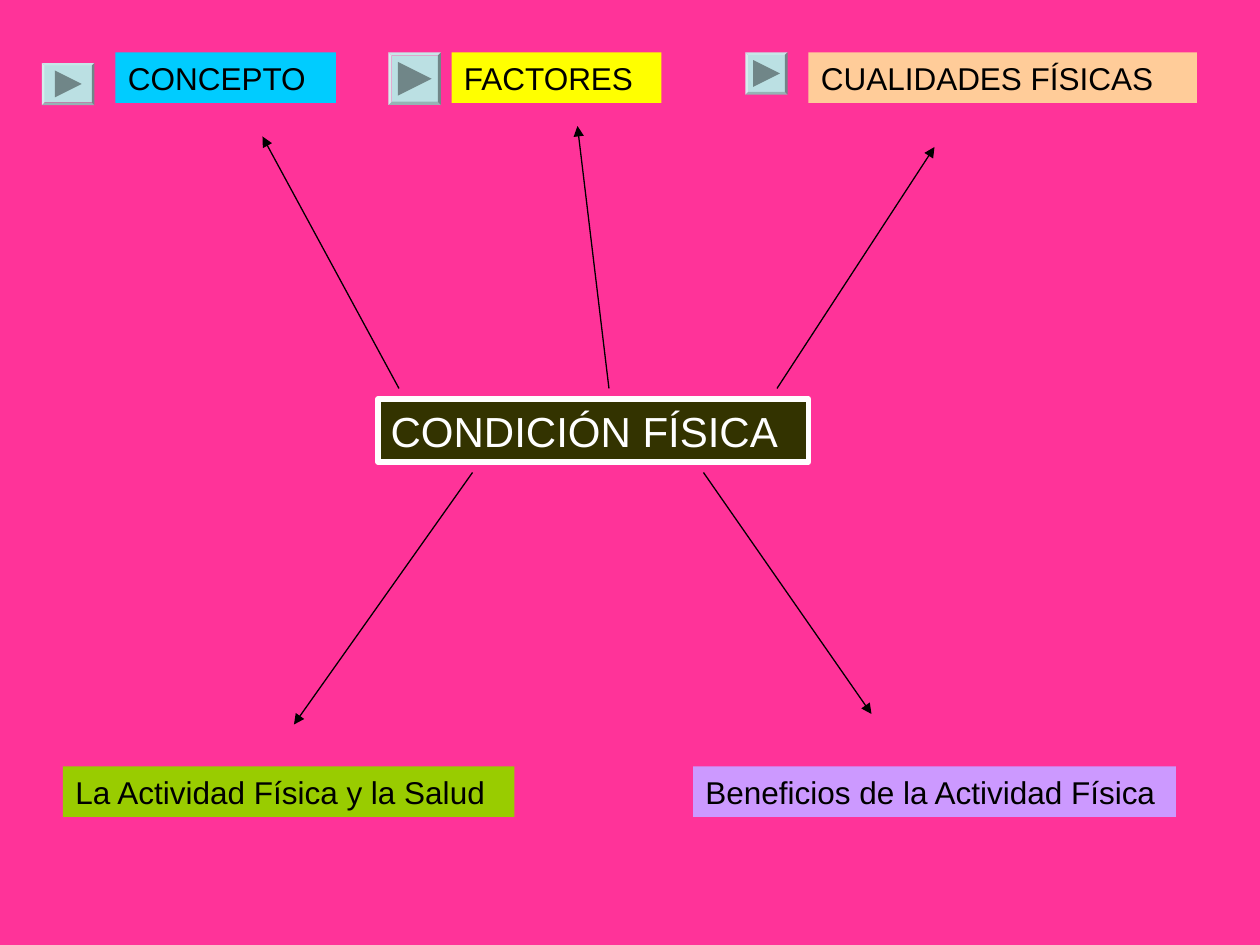
from lxml.etree import SubElement
from pptx import Presentation
from pptx.dml.color import RGBColor
from pptx.enum.shapes import MSO_CONNECTOR as Connector, MSO_SHAPE as Shape
from pptx.enum.text import MSO_ANCHOR as Anchor, MSO_AUTO_SIZE as AutoSize, PP_ALIGN as Align
from pptx.oxml.ns import qn
from pptx.util import Pt

PINK = RGBColor(0xFF, 0x33, 0x99)
OLIVE = RGBColor(0x33, 0x33, 0x00)
WHITE = RGBColor(0xFF, 0xFF, 0xFF)
BLACK = RGBColor(0x00, 0x00, 0x00)
CYAN = RGBColor(0x00, 0xCC, 0xFF)
YELLOW = RGBColor(0xFF, 0xFF, 0x00)
PEACH = RGBColor(0xFF, 0xCC, 0x99)
GREEN = RGBColor(0x99, 0xCC, 0x00)
LILAC = RGBColor(0xCC, 0x99, 0xFF)
BUTTON_FACE = RGBColor(0xBB, 0xE0, 0xE3)
BUTTON_MARK = RGBColor(0x70, 0x86, 0x88)

TOPIC_HEIGHT = 28.8
# text, fill, (left, top, width), arrow start, arrow end, button box
TOPICS = [
    ("CONCEPTO", CYAN, (66, 30, 126), (228, 222), (150, 78), (24, 36, 30, 24)),
    ("FACTORES", YELLOW, (258, 30, 120), (348, 222), (330, 72), (222, 30, 30, 30)),
    ("CUALIDADES FÍSICAS", PEACH, (462, 30, 222), (444, 222), (534, 84), (426, 30, 24, 24)),
    ("La Actividad Física y la Salud", GREEN, (36, 438, 258), (270, 270), (168, 414), None),
    ("Beneficios de la Actividad Física", LILAC, (396, 438, 276), (402, 270), (498, 408), None),
]


def set_all(target, values):
    for name, value in values.items():
        setattr(target, name, value)


def write_label(label, text, fill, size, color):
    """Fill a label and set its one line of left-aligned text."""
    label.fill.solid()
    label.fill.fore_color.rgb = fill
    frame = label.text_frame
    set_all(frame, {
        "word_wrap": True, "auto_size": AutoSize.NONE, "vertical_anchor": Anchor.TOP,
        "margin_left": Pt(7.2), "margin_right": Pt(7.2),
        "margin_top": Pt(3.6), "margin_bottom": Pt(3.6),
    })
    line = frame.paragraphs[0]
    line.text = text
    line.alignment = Align.LEFT
    set_all(line.font, {"name": "Arial", "size": Pt(size), "bold": False})
    line.font.color.rgb = color


def add_heading(slide, left, top, width, height):
    heading = slide.shapes.title
    set_all(heading, {"left": Pt(left), "top": Pt(top), "width": Pt(width), "height": Pt(height)})
    write_label(heading, "CONDICIÓN FÍSICA", OLIVE, 24, WHITE)
    heading.line.color.rgb = WHITE
    heading.line.width = Pt(3)


def add_plain_shape(slide, kind, box, fill):
    shape = slide.shapes.add_shape(kind, *map(Pt, box))
    shape.shadow.inherit = False
    shape.fill.solid()
    shape.fill.fore_color.rgb = fill
    shape.line.fill.background()
    return shape


def add_arrow(slide, start, end):
    arrow = slide.shapes.add_connector(Connector.STRAIGHT, *map(Pt, start + end))
    arrow.line.color.rgb = BLACK
    arrow.line.width = Pt(0.75)
    SubElement(arrow.line._get_or_add_ln(), qn("a:tailEnd"), type="triangle")
    SubElement(arrow._element.spPr, qn("a:effectLst"))


def add_forward_button(slide, left, top, width, height):
    """Bevelled button with a centred triangle pointing right."""
    face = add_plain_shape(slide, Shape.BEVEL, (left, top, width, height), BUTTON_FACE)
    face.adjustments[0] = 0.06
    side = 0.64 * min(width, height)
    mark_box = (left + (width - side) / 2, top + (height - side) / 2, side, side)
    mark = add_plain_shape(slide, Shape.ISOSCELES_TRIANGLE, mark_box, BUTTON_MARK)
    mark.rotation = 90


def add_topic(slide, text, fill, box, start, end, button):
    add_arrow(slide, start, end)
    label = add_plain_shape(slide, Shape.RECTANGLE, box + (TOPIC_HEIGHT,), fill)
    write_label(label, text, fill, 18, BLACK)
    if button:
        add_forward_button(slide, *button)


def main():
    deck = Presentation()
    deck.slide_width, deck.slide_height = Pt(720), Pt(540)
    slide = deck.slides.add_slide(deck.slide_layouts.get_by_name("Title Only"))
    slide.background.fill.solid()
    slide.background.fill.fore_color.rgb = PINK
    add_heading(slide, 216, 228, 246, 36)
    for topic in TOPICS:
        add_topic(slide, *topic)
    deck.save("out.pptx")


if __name__ == "__main__":
    main()
